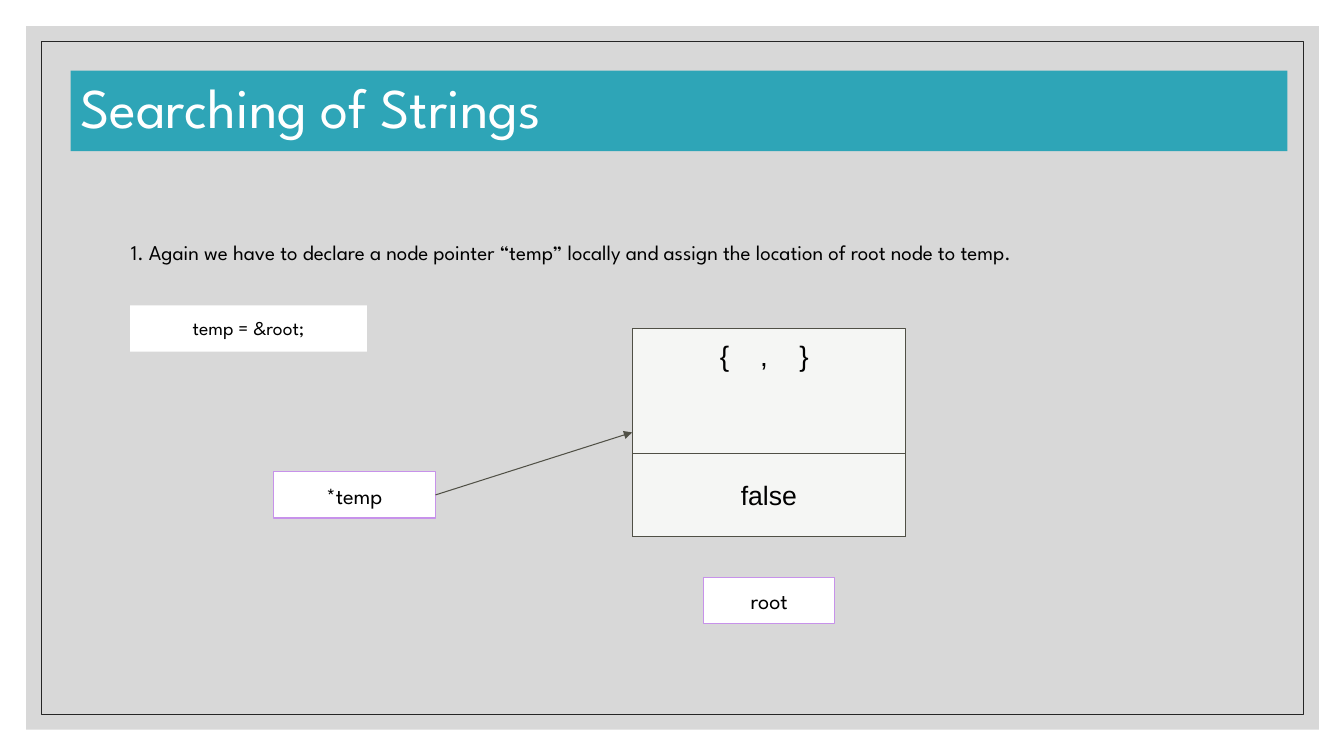
from dataclasses import dataclass

from lxml.etree import SubElement
from pptx import Presentation
from pptx.dml.color import RGBColor
from pptx.enum.shapes import MSO_CONNECTOR, MSO_SHAPE
from pptx.enum.text import MSO_ANCHOR, PP_ALIGN
from pptx.oxml.ns import qn
from pptx.util import Inches, Pt


@dataclass(frozen=True)
class Theme:
    font: str = "League Spartan"
    node_font: str = "Arial"
    white: str = "FFFFFF"
    text: str = "000000"
    panel: str = "BFBFBF"
    frame: str = "262626"
    banner: str = "2EA5B7"
    node: str = "F5F6F4"
    node_line: str = "505046"
    label_line: str = "C792EA"
    title_size: float = 40
    node_size: float = 20
    flag_size: float = 19
    label_size: float = 16
    body_size: float = 15
    code_size: float = 14
    line_width: float = 0.75


def rgb(color):
    return RGBColor.from_string(color)


class SlideBuilder:
    def __init__(self, slide, theme):
        self.slide = slide
        self.theme = theme

    def stroke(self, line, color):
        line.color.rgb = rgb(color)
        line.width = Pt(self.theme.line_width)

    def rect(self, at, fill=None, line=None, opacity=None):
        """Add a rectangle; opacity is a percentage."""
        sp = self.slide.shapes.add_shape(MSO_SHAPE.RECTANGLE, *map(Inches, at))
        sp.shadow.inherit = False
        if fill:
            sp.fill.solid()
            sp.fill.fore_color.rgb = rgb(fill)
        else:
            sp.fill.background()
        if opacity is not None:
            clr = sp._element.spPr.find(qn("a:solidFill"))[0]
            SubElement(clr, qn("a:alpha"), val=str(opacity * 1000))
        if line:
            self.stroke(sp.line, line)
        else:
            sp.line.fill.background()
        return sp

    def textbox(self, at):
        return self.slide.shapes.add_textbox(*map(Inches, at))

    def set_text(self, sp, text, size, font=None, color=None, align=PP_ALIGN.CENTER,
                 anchor=MSO_ANCHOR.TOP, inset_y=0.1, spacing=1.0, indent=0, tabs=()):
        """Put one paragraph into a shape; indent and tab stops are in inches."""
        tf = sp.text_frame
        frame_format = {
            "word_wrap": True,
            "vertical_anchor": anchor,
            "margin_left": Inches(0.1),
            "margin_right": Inches(0.1),
            "margin_top": Inches(inset_y),
            "margin_bottom": Inches(inset_y),
        }
        for name, value in frame_format.items():
            setattr(tf, name, value)
        p = tf.paragraphs[0]
        p.alignment = align
        p.line_spacing = spacing
        pPr = p._p.get_or_add_pPr()
        if indent:
            pPr.set("marL", str(Inches(indent)))
            pPr.set("indent", "0")
        if tabs:
            tab_list = SubElement(pPr, qn("a:tabLst"))
            for stop in tabs:
                SubElement(tab_list, qn("a:tab"), pos=str(Inches(stop)), algn="l")
        r = p.add_run()
        r.text = text
        font_format = {"name": font or self.theme.font, "size": Pt(size)}
        for name, value in font_format.items():
            setattr(r.font, name, value)
        r.font.color.rgb = rgb(color or self.theme.text)

    def label(self, at, text):
        sp = self.rect(at, self.theme.white, self.theme.label_line)
        self.set_text(sp, text, self.theme.label_size)
        return sp

    def arrow(self, start, end):
        """Join the right side of one rectangle to the left side of another."""
        cxn = self.slide.shapes.add_connector(MSO_CONNECTOR.STRAIGHT, 0, 0, 0, 0)
        cxn.begin_connect(start, 3)
        cxn.end_connect(end, 1)
        self.stroke(cxn.line, self.theme.node_line)
        spPr = cxn._element.spPr
        SubElement(spPr.find(qn("a:ln")), qn("a:tailEnd"), type="triangle")
        SubElement(spPr, qn("a:effectLst"))


def main():
    prs = Presentation()
    prs.slide_width, prs.slide_height = Inches(13.33), Inches(7.5)
    theme = Theme()
    s = SlideBuilder(prs.slides.add_slide(prs.slide_layouts[6]), theme)

    s.rect((0.26, 0.26, 12.82, 6.98), theme.panel, opacity=60)
    s.rect((0.41, 0.41, 12.52, 6.68), line=theme.frame)

    title = s.rect((0.7, 0.7, 12.07, 0.8), theme.banner)
    s.set_text(title, "Searching of Strings", theme.title_size, color=theme.white,
               align=PP_ALIGN.LEFT, anchor=MSO_ANCHOR.MIDDLE, inset_y=0.05, spacing=0.9)

    body = s.textbox((0.7, 2.3, 11.91, 4.21))
    s.set_text(body, "1. Again we have to declare a node pointer “temp” locally and "
               "assign the location of root node to temp.", theme.body_size,
               align=PP_ALIGN.LEFT, inset_y=0.05, spacing=1.1, indent=0.5)

    node = s.rect((6.27, 3.26, 2.71, 2.06), theme.node, theme.node_line)
    s.set_text(node, "\t{\t,\t}", theme.node_size, theme.node_font,
               align=PP_ALIGN.LEFT, tabs=(0.77, 1.17, 1.56))
    flag = s.rect((6.27, 4.5, 2.71, 0.82), theme.node, theme.node_line)
    s.set_text(flag, "false", theme.flag_size, theme.node_font, anchor=MSO_ANCHOR.MIDDLE)

    pointer = s.label((2.71, 4.68, 1.61, 0.46), "*temp")
    s.label((6.98, 5.73, 1.3, 0.46), "root")
    s.arrow(pointer, node)

    code = s.rect((1.29, 3.03, 2.35, 0.46), theme.white)
    s.set_text(code, "temp = &root;", theme.code_size)

    prs.save("out.pptx")


if __name__ == "__main__":
    main()
